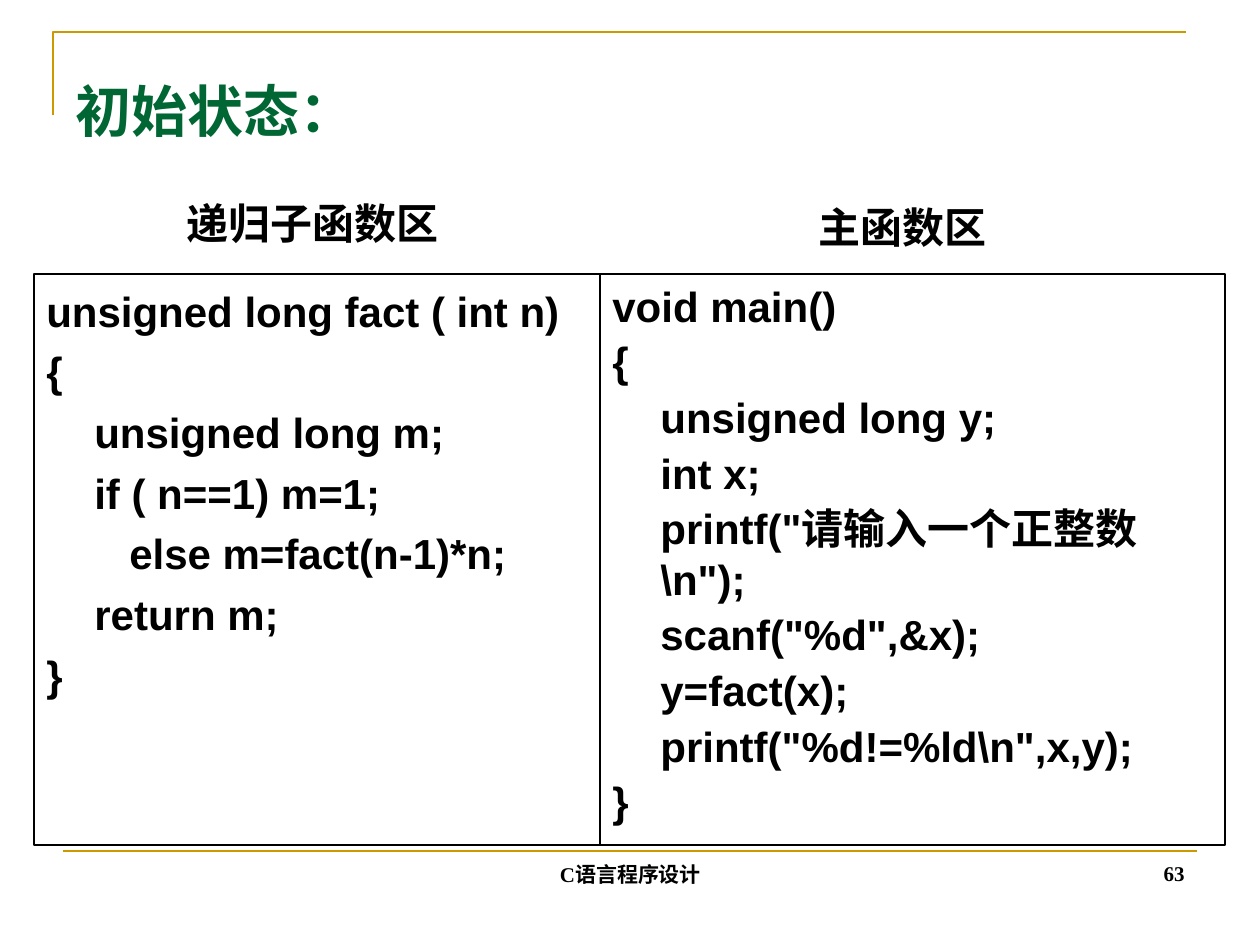
from pptx import Presentation
from pptx.dml.color import RGBColor
from pptx.enum.shapes import MSO_CONNECTOR as Conn, MSO_SHAPE as Shape
from pptx.enum.text import MSO_ANCHOR as Anchor, MSO_AUTO_SIZE as Fit, PP_ALIGN as Align
from pptx.oxml.ns import qn
from pptx.util import Emu, Pt
from lxml.etree import SubElement

FACT = [
    (0, "unsigned long fact ( int n)"),
    (0, "{"),
    (1, "unsigned long m;"),
    (1, "if ( n==1) m=1;"),
    (1, "   else m=fact(n-1)*n;"),
    (1, "return m;"),
    (0, "}"),
]
MAIN = [
    (0, "void main()"),
    (0, "{"),
    (1, "unsigned long y;"),
    (1, "int x;"),
    (1, 'printf("请输入一个正整数\\n");'),
    (1, 'scanf("%d",&x);'),
    (1, "y=fact(x);"),
    (1, 'printf("%d!=%ld\\n",x,y);'),
    (0, "}"),
]


def px(n):
    return Emu(round(n * 914400 / 126))


def rgb(code):
    return RGBColor.from_string(code)


class Deck:
    """Holds the style and the current slide, and draws each kind of element."""

    sans, serif = "Arial", "Times New Roman"
    ink, green, gold = "000000", "006633", "CC9900"
    step = 48

    def __init__(self):
        self.prs = Presentation()
        self.prs.slide_width, self.prs.slide_height = px(1260), px(945)
        self.slide = self.prs.slides.add_slide(self.prs.slide_layouts[5])
        self.shapes = self.slide.shapes

    def style(self, para, text, face, size, color, align=Align.LEFT):
        para.text = text
        para.alignment = align
        font = para.font
        font.name, font.size, font.bold = face, Pt(size), True
        font.color.rgb = rgb(color)

    def stroke(self, line, color, width):
        line.color.rgb = rgb(color)
        line.width = Pt(width)

    def title(self, text, *box):
        shape = self.shapes.title
        shape.left, shape.top, shape.width, shape.height = map(px, box)
        frame = shape.text_frame
        frame.auto_size, frame.vertical_anchor = Fit.NONE, Anchor.TOP
        self.style(frame.paragraphs[0], text, self.serif, 32, self.green)

    def label(self, text, *box, face=sans, size=24, align=Align.CENTER, anchor=Anchor.TOP):
        frame = self.shapes.add_textbox(*map(px, box)).text_frame
        frame.word_wrap, frame.vertical_anchor = True, anchor
        self.style(frame.paragraphs[0], text, face, size, self.ink, align)

    def foot(self, text, *box, align):
        self.label(text, *box, face=self.serif, size=12, align=align, anchor=Anchor.BOTTOM)

    def code(self, rows, space, *box):
        shape = self.shapes.add_shape(Shape.RECTANGLE, *map(px, box))
        shape.shadow.inherit = False
        shape.fill.background()
        self.stroke(shape.line, self.ink, 0.75)
        frame = shape.text_frame
        frame.word_wrap, frame.vertical_anchor = True, Anchor.TOP
        for i, (level, text) in enumerate(rows):
            para = frame.add_paragraph() if i else frame.paragraphs[0]
            para._p.get_or_add_pPr().set("marL", str(px(level * self.step)))
            self.style(para, text, self.sans, 24, self.ink)
            para.line_spacing = space
            para.space_before = Pt(3 if i else 0)

    def rule(self, *ends):
        line = self.shapes.add_connector(Conn.STRAIGHT, *map(px, ends))
        self.stroke(line.line, self.gold, 1.5)
        SubElement(line._element.spPr, qn("a:effectLst"))

    def corner(self, start, *rest):
        pen = self.shapes.build_freeform(*start, scale=px(1))
        pen.add_line_segments(rest, close=False)
        shape = pen.convert_to_shape()
        shape.shadow.inherit = False
        shape.fill.background()
        self.stroke(shape.line, self.gold, 1.5)


def main():
    deck = Deck()
    deck.corner((53, 115), (53, 32), (1186, 32))
    deck.rule(63, 851, 1197, 851)
    deck.title("初始状态：", 63, 70, 1134, 108)
    deck.code(FACT, 1.1, 34, 274, 566, 571)
    deck.code(MAIN, 1.0, 600, 274, 625, 571)
    deck.label("递归子函数区", 154, 191, 317, 63)
    deck.label("主函数区", 769, 195, 267, 63)
    deck.foot("C语言程序设计", 431, 830, 399, 63, align=Align.CENTER)
    deck.foot("63", 903, 829, 294, 63, align=Align.RIGHT)
    deck.prs.save("out.pptx")


if __name__ == "__main__":
    main()
